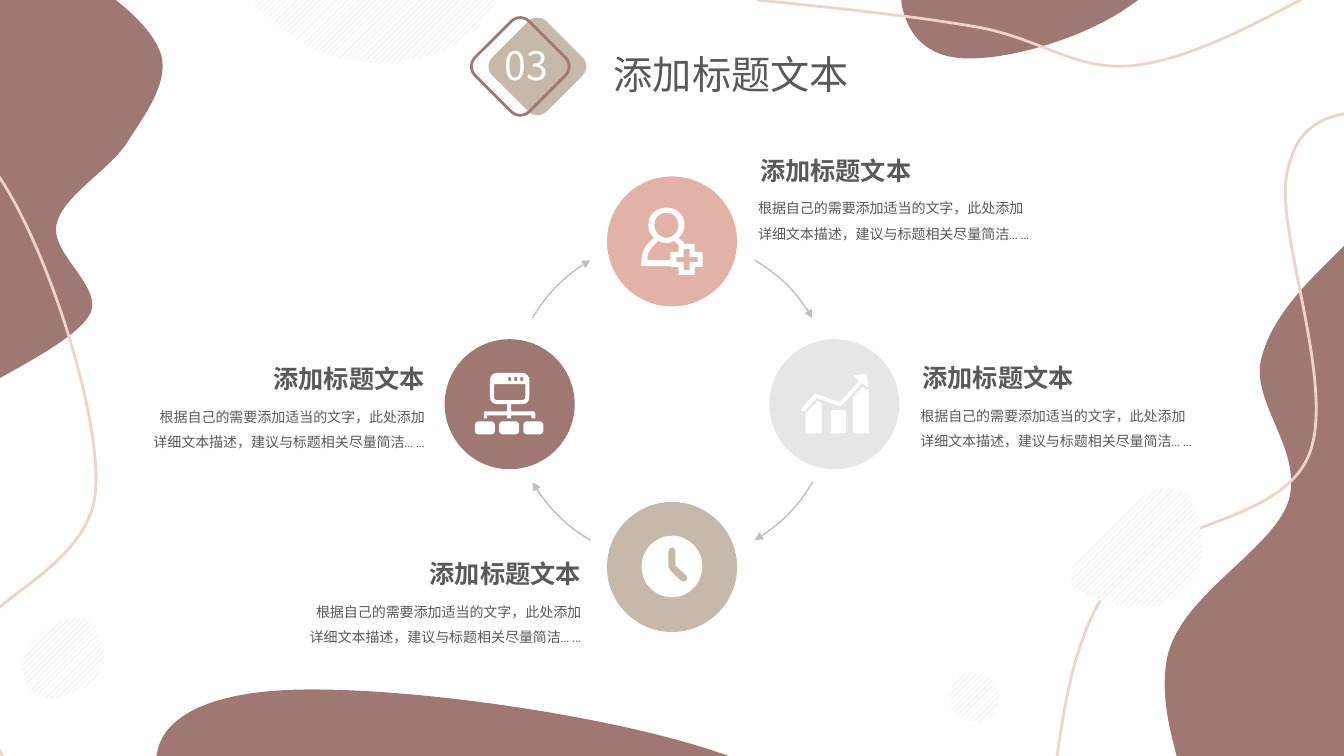
from dataclasses import dataclass

from lxml.etree import SubElement
from pptx import Presentation
from pptx.dml.color import RGBColor
from pptx.enum.dml import MSO_PATTERN
from pptx.enum.shapes import MSO_SHAPE
from pptx.enum.text import MSO_AUTO_SIZE, PP_ALIGN
from pptx.oxml.ns import qn
from pptx.util import Emu, Pt

COLS, ROWS = 1333, 750  # grid cells across and down the slide
CELL = 9144


@dataclass(frozen=True)
class Theme:
    white: str = "FFFFFF"
    ink: str = "595959"
    mauve: str = "9F7873"
    sand: str = "C6B9A9"
    rose: str = "E2B2A6"
    mist: str = "E6E6E6"
    blush: str = "EED3C6"
    arrow: str = "BFBFBF"
    title_font: str = "Noto Sans CJK SC"
    body_font: str = "Cabin"
    title_size: int = 28
    heading_size: int = 18
    body_size: int = 10


T = Theme()
TITLE = "添加标题文本"
BODY = "根据自己的需要添加适当的文字，此处添加详细文本描述，建议与标题相关尽量简洁... ..."

# Paths hold M, L and C commands followed by x,y points in grid cells.
LEFT_BLOB = ("M 0,0 L 115,0 121,5 C 140,21 155,38 160,55 167,82 145,112 127,140 110,168 62,194 56,223 "
             "50,251 101,284 90,310 80,332 30,358 2,374 L 0,375")
TOP_BLOB = "M 894,0 L 1129,0 1126,2 C 1084,34 1010,58 961,58 916,58 899,31 894,3"
BOTTOM_BLOB = "M 309,684 C 425,684 604,711 705,744 L 723,750 155,750 157,742 C 165,713 204,684 309,684"
RIGHT_BLOB = ("M 1333,244 L 1333,750 1167,750 1163,734 C 1156,706 1153,680 1157,656 1167,592 1262,547 1278,497 "
              "1293,447 1240,399 1251,356 1259,323 1283,294 1311,266")
LEFT_CURVE = ("M 11,760 C 11,768 12,776 5,756 -2,735 -45,684 -30,638 -15,593 92,562 95,483 "
              "99,403 40,225 -10,163 -60,102 -132,108 -205,114")
TOP_CURVE = "M 751,0 C 829,8 908,16 970,27 1032,38 1067,71 1124,65 1180,59 1245,24 1310,-11"
RIGHT_CURVE = ("M 1046,768 C 1056,696 1066,624 1108,571 1150,519 1270,519 1298,452 "
               "1326,386 1266,232 1276,175 1286,117 1322,113 1359,110")
LEFT_PEBBLE = "M 23,654 C 27,640 52,613 74,613 96,613 103,631 103,654 103,676 72,693 50,693 28,693 19,667 23,654"
RIGHT_PEBBLE = ("M 1063,580 C 1057,566 1070,552 1112,511 1155,470 1188,473 1193,544 "
                "1193,567 1171,594 1150,600 1128,606 1070,595 1063,580")
TOP_PEBBLE = "M 250,0 L 491,0 488,7 C 472,38 441,57 384,62 333,67 290,41 258,9"

USER_ICON = ("M 692,250 L 689,250 689,242 679,242 C 677,239 675,238 673,236 677,233 679,228 679,223 "
             "679,213 671,206 661,206 651,206 643,213 643,223 643,228 645,233 649,236 643,240 636,247 636,261 "
             "L 636,264 666,264 666,265 673,265 673,273 689,273 689,265 697,265 697,250 "
             "M 649,223 C 649,216 654,211 661,211 668,211 673,216 673,223 673,230 669,235 661,236 653,235 649,230 649,223 "
             "M 652,240 L 653,239 C 655,240 657,241 661,241 665,241 667,240 669,239 671,241 672,242 673,243 "
             "L 673,250 665,250 665,258 642,258 C 642,248 648,244 652,240 "
             "M 692,260 L 684,260 684,268 678,268 678,260 671,260 671,255 678,255 678,247 684,247 684,255 692,255")
CHART_ICON = ("M 825,407 L 838,407 839,408 839,429 838,430 825,430 824,429 824,408 "
              "M 811,398 L 812,398 815,400 815,429 814,430 800,430 799,429 799,410 "
              "M 855,384 L 858,386 C 859,387 861,387 862,386 L 862,429 861,430 847,430 846,429 846,394 "
              "M 859,371 L 860,372 861,383 860,384 855,380 835,402 C 834,403 833,403 833,403 L 810,395 798,408 "
              "C 797,408 796,408 795,408 794,407 794,406 795,405 L 808,391 C 809,390 810,390 810,391 "
              "L 833,399 852,378 847,373 848,372")
CLOCK_ICON = ("M 696,556 C 694,544 684,535 673,532 651,528 633,547 637,568 639,580 649,590 661,592 682,596 700,577 696,556 "
              "M 681,576 C 680,577 679,577 678,577 677,577 676,577 675,576 L 664,565 C 663,564 663,563 663,562 "
              "L 663,547 C 663,545 665,543 667,543 669,543 670,545 670,547 L 670,561 681,571 C 682,572 682,575 681,576")
NETWORK_ICON = ("M 490,381 L 490,394 C 490,396 491,397 493,397 L 518,397 C 520,397 521,396 521,394 L 521,381 "
                "M 493,370 L 518,370 C 522,370 525,373 525,377 L 525,394 C 525,398 522,401 518,401 "
                "L 507,401 507,408 529,408 C 530,408 531,409 531,410 L 531,415 527,415 527,412 507,412 507,415 "
                "503,415 503,412 483,412 483,415 480,415 480,410 C 480,409 480,408 481,408 L 503,408 503,401 "
                "493,401 C 489,401 486,398 486,394 L 486,377 C 486,373 489,370 493,370")


def cells(*values):
    return [Emu(round(v * CELL)) for v in values]


def read_path(path):
    """Return the points of each contour, and the command that each later point belongs to."""
    contours, commands, command = [], [], ""
    for token in path.split():
        if token in "MLC":
            command = token
            continue
        point = cells(*(float(v) for v in token.split(",")))
        if command == "M":
            contours.append([point])
        else:
            contours[-1].append(point)
            commands.append(command)
    return contours, commands


def bend(sp, commands):
    """Join each three line segments marked C into one cubic curve."""
    held = []
    for node, command in zip(list(sp._element.iter(qn("a:lnTo"))), commands):
        if command == "C":
            held.append(node)
        if len(held) == 3:
            outline = node.getparent()
            curve = SubElement(outline, qn("a:cubicBezTo"))
            held[0].addprevious(curve)
            for segment in held:
                curve.append(segment[0])
                outline.remove(segment)
            held = []


def style(sp, fill=None, line=None, width=2, hatch=False):
    sp.shadow.inherit = False
    if hatch:
        sp.fill.patterned()
        sp.fill.pattern = MSO_PATTERN.WIDE_UPWARD_DIAGONAL
        sp.fill.fore_color.rgb = RGBColor.from_string(T.blush)
        sp.fill.back_color.rgb = RGBColor.from_string(T.white)
    elif fill:
        sp.fill.solid()
        sp.fill.fore_color.rgb = RGBColor.from_string(fill)
    else:
        sp.fill.background()
    if line:
        sp.line.color.rgb = RGBColor.from_string(line)
        sp.line.width = Pt(width)
    else:
        sp.line.fill.background()
    return sp


def draw(shapes, path, **look):
    contours, commands = read_path(path)
    fb = shapes.build_freeform(*contours[0][0], scale=1.0)
    for i, (start, *points) in enumerate(contours):
        if i:
            fb.move_to(*start)
        fb.add_line_segments(points, close="line" not in look)
    sp = fb.convert_to_shape()
    bend(sp, commands)
    return style(sp, **look)


def preset(shapes, kind, x, y, w, h, turn=0, **look):
    sp = shapes.add_shape(kind, *cells(x, y, w, h))
    sp.rotation = turn
    return style(sp, **look)


def label(shapes, text, x, y, w, h, size, font=T.body_font, color=T.ink,
          bold=False, align=PP_ALIGN.LEFT, spacing=1.0, wrap=True):
    tf = shapes.add_textbox(*cells(x, y, w, h)).text_frame
    tf.word_wrap = wrap
    tf.auto_size = MSO_AUTO_SIZE.SHAPE_TO_FIT_TEXT
    p = tf.paragraphs[0]
    p.text = text
    p.alignment = align
    p.line_spacing = spacing
    p.font.size, p.font.name, p.font.bold = Pt(size), font, bold
    p.font.color.rgb = RGBColor.from_string(color)


def cycle_arrow(shapes, turn):
    sp = preset(shapes, MSO_SHAPE.ARC, 506, 236, 322, 322, turn, line=T.arrow, width=1)
    sp.adjustments[0], sp.adjustments[1] = 180.192, 197.769
    SubElement(sp.line._get_or_add_ln(), qn("a:tailEnd"), type="triangle")


def step(shapes, dx, dy, color, icon, text_edge, text_top):
    """Draw one disc of the cycle; text_edge is the text's near edge from the disc's centre."""
    x, y, disc = 666.5 + 161 * dx, 401 + 161.5 * dy, 129
    preset(shapes, MSO_SHAPE.OVAL, x - disc / 2, y - disc / 2, disc, disc, fill=color)
    draw(shapes, icon, fill=T.white)
    on_right = text_edge > 0
    align = PP_ALIGN.LEFT if on_right else PP_ALIGN.RIGHT
    edge, top = x + text_edge, y + text_top
    label(shapes, BODY, edge if on_right else edge - 292, top, 292, 58,
          T.body_size, align=align, spacing=1.5)
    label(shapes, TITLE, edge + 2 if on_right else edge - 221, top - 36, 221, 40,
          T.heading_size, bold=True, align=align)


def backdrop(shapes):
    draw(shapes, LEFT_PEBBLE, hatch=True)
    for blob, curve in ((LEFT_BLOB, LEFT_CURVE), (TOP_BLOB, TOP_CURVE),
                        (BOTTOM_BLOB, None), (RIGHT_BLOB, RIGHT_CURVE)):
        draw(shapes, blob, fill=T.mauve)
        if curve:
            draw(shapes, curve, line=T.blush)
    for pebble in (RIGHT_PEBBLE, TOP_PEBBLE):
        draw(shapes, pebble, hatch=True)
    preset(shapes, MSO_SHAPE.OVAL, 942, 667, 49, 49, hatch=True)


def header(shapes):
    for x, look in ((495, {"fill": T.sand}), (478, {"line": T.mauve})):
        preset(shapes, MSO_SHAPE.ROUNDED_RECTANGLE, x, 28, 76, 76, 45, **look)
    label(shapes, "03", 491, 36, 68, 57, T.title_size, T.title_font, T.white, wrap=False)
    label(shapes, TITLE, 599, 45, 274, 57, T.title_size, T.title_font)


def network_details(shapes):
    for i in range(3):
        sp = preset(shapes, MSO_SHAPE.ROUNDED_RECTANGLE, 471 + 24 * i, 418, 20, 13, fill=T.white)
        sp.adjustments[0] = 0.3
        preset(shapes, MSO_SHAPE.OVAL, 504 + 6 * i, 374, 3, 4, fill=T.mauve)


def main():
    prs = Presentation()
    prs.slide_width, prs.slide_height = cells(COLS, ROWS)
    shapes = prs.slides.add_slide(prs.slide_layouts[6]).shapes
    backdrop(shapes)
    header(shapes)
    for turn in range(0, 360, 90):
        cycle_arrow(shapes, turn)
    step(shapes, 0, -1, T.rose, USER_ICON, 75.5, -54.5)
    step(shapes, 1, 0, T.mist, CHART_ICON, 75.5, -10.5)
    step(shapes, 0, 1, T.sand, CLOCK_ICON, -80.5, 22.5)
    step(shapes, -1, 0, T.mauve, NETWORK_ICON, -74.5, -9.5)
    network_details(shapes)
    prs.save("out.pptx")


if __name__ == "__main__":
    main()
